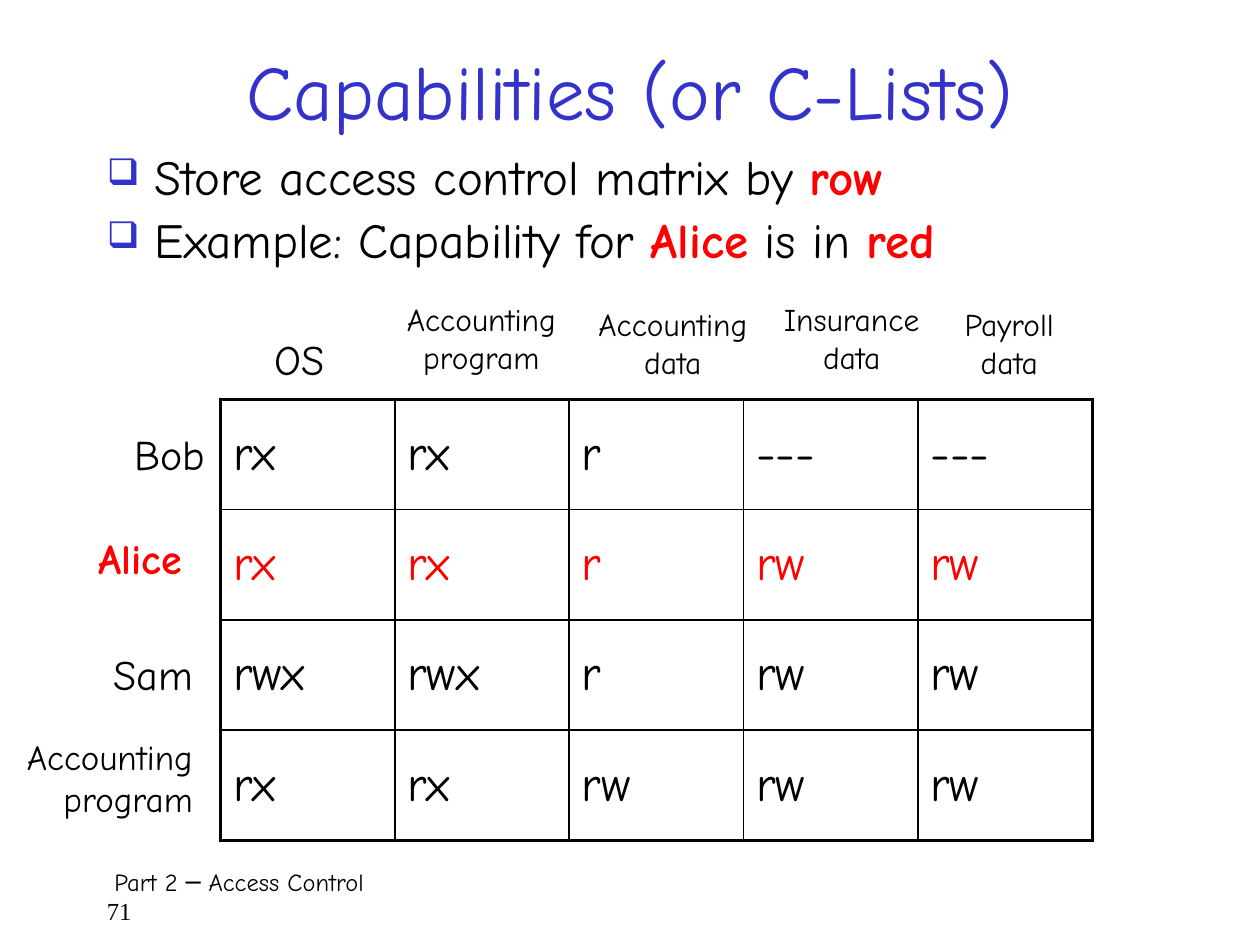
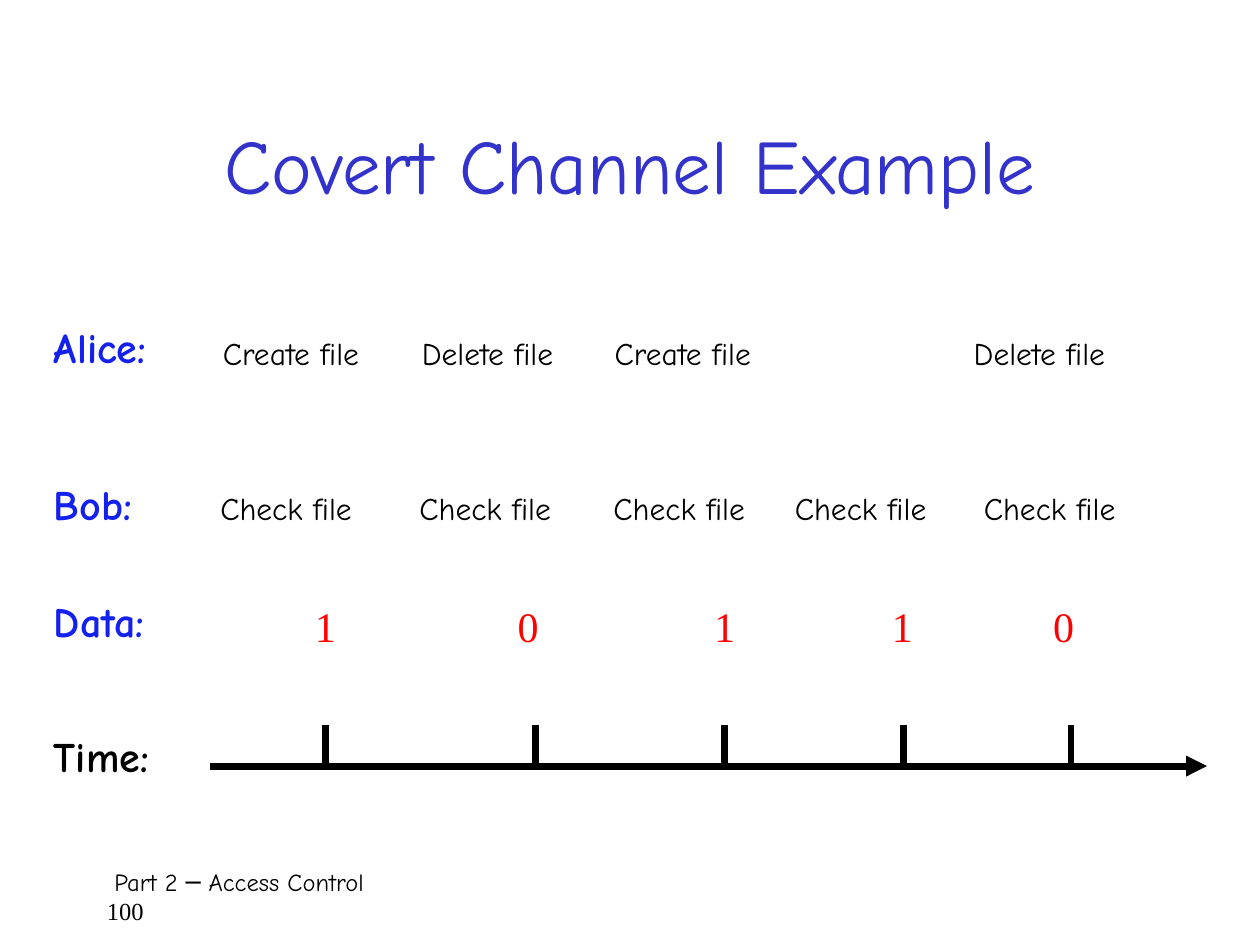
"""Build two access control slides: a capability table and a covert channel timeline."""
from dataclasses import dataclass

from lxml.etree import SubElement
from pptx import Presentation
from pptx.dml.color import RGBColor
from pptx.enum.shapes import MSO_CONNECTOR
from pptx.enum.text import MSO_ANCHOR, MSO_AUTO_SIZE as AUTO_SIZE, PP_ALIGN
from pptx.oxml.ns import qn
from pptx.util import Inches, Pt

COLORS = {"title": "3333CC", "text": "000000", "accent": "FF0000",
          "speaker": "1320EE", "paper": "FFFFFF"}
HAND, SERIF = "Comic Neue", "Times New Roman"
LINE_HEIGHT = {HAND: 1.4, SERIF: 1.2}
CENTER, RIGHT = PP_ALIGN.CENTER, PP_ALIGN.RIGHT


@dataclass
class Label:
    text: str
    left: float
    top: float
    width: float
    size: int = 24
    color: str = "text"
    bold: bool = False
    font: str = HAND
    align: PP_ALIGN = PP_ALIGN.LEFT

    @property
    def height(self) -> float:
        lines = len(self.text.split("\n"))
        return 0.1 + lines * self.size * LINE_HEIGHT[self.font] / 72


@dataclass
class Moment:
    tick: float
    check_left: float
    bit: str
    bit_left: float
    action: str = ""
    action_left: float = 0


HEADINGS = [
    Label("OS", 2.08, 2.6, 0.7),
    Label("Accounting\nprogram", 3.08, 2.33, 1.48, 18, align=CENTER),
    Label("Accounting\ndata", 4.6, 2.37, 1.48, 18, align=CENTER),
    Label("Insurance\ndata", 6.08, 2.33, 1.36, 18, align=CENTER),
    Label("Payroll\ndata", 7.52, 2.37, 0.98, 18, align=CENTER),
]
SUBJECTS = [
    Label("Bob", 0.97, 3.35, 0.78),
    Label("Alice", 0.68, 4.18, 0.99, color="accent", bold=True),
    Label("Sam", 0.8, 5.1, 0.86),
    Label("Accounting\nprogram", 0, 5.79, 1.63, 20, align=RIGHT),
]
RIGHTS = [
    ["rx", "rx", "r", "---", "---"],
    ["rx", "rx", "r", "rw", "rw"],
    ["rwx", "rwx", "r", "rw", "rw"],
    ["rx", "rx", "rw", "rw", "rw"],
]
ALICE_ROW = 1
BULLETS = [
    [("Store access control matrix by ", False), ("row", True)],
    [("Example: Capability for ", False), ("Alice", True),
     (" is in ", False), ("red", True)],
]
SPEAKERS = [
    Label("Alice:", 0.33, 2.5, 1.13, color="speaker", bold=True),
    Label("Bob:", 0.33, 3.75, 0.93, color="speaker", bold=True),
    Label("Data:", 0.33, 4.68, 1.11, color="speaker", bold=True),
    Label("Time:", 0.33, 5.75, 1.12, bold=True),
]
MOMENTS = [
    Moment(2.58, 1.65, "1", 2.4, "Create file", 1.67),
    Moment(4.25, 3.23, "0", 4.01, "Delete file", 3.25),
    Moment(5.75, 4.77, "1", 5.57, "Create file", 4.78),
    Moment(7.17, 6.21, "1", 6.98),
    Moment(8.5, 7.71, "0", 8.26, "Delete file", 7.63),
]
AXIS_Y = 6.08


def style_run(r, size: float, color: str = "text", bold: bool = False, font: str = HAND) -> None:
    r.font.name = font
    r.font.size = Pt(size)
    r.font.bold = bold
    r.font.color.rgb = RGBColor.from_string(COLORS[color])


def add_box(s, left: float, top: float, width: float, height: float, wrap: bool = True):
    sp = s.shapes.add_textbox(Inches(left), Inches(top), Inches(width), Inches(height))
    tf = sp.text_frame
    tf.word_wrap = wrap
    return tf


def add_label(s, label: Label) -> None:
    tf = add_box(s, label.left, label.top, label.width, label.height, wrap=False)
    tf.auto_size = AUTO_SIZE.SHAPE_TO_FIT_TEXT
    tf.text = label.text
    for p in tf.paragraphs:
        p.alignment = label.align
        for r in p.runs:
            style_run(r, label.size, label.color, label.bold, label.font)


def add_base_slide(prs, title: str, top: float, height: float, number: int):
    s = prs.slides.add_slide(prs.slide_layouts[6])
    s.background.fill.solid()
    s.background.fill.fore_color.rgb = RGBColor.from_string(COLORS["paper"])
    tf = add_box(s, 0.75, 6.83, 8.58, 0.5)
    tf.text = f"Part 2 ─ Access Control\n{number}"
    credit, page = tf.paragraphs
    credit._p.get_or_add_pPr().set("marL", str(Inches(0.06)))
    style_run(credit.runs[0], 14)
    style_run(page.runs[0], 14, font=SERIF)
    tf = add_box(s, 0.75, top, 8.5, height)
    tf.vertical_anchor = MSO_ANCHOR.MIDDLE
    tf.text = title
    p = tf.paragraphs[0]
    p.alignment = CENTER
    style_run(p.runs[0], 44, "title")
    return s


def add_bullet(p) -> None:
    pPr = p._p.get_or_add_pPr()
    pPr.set("marL", str(Inches(0.38)))
    pPr.set("indent", str(Inches(-0.38)))
    color = SubElement(pPr, qn("a:buClr"))
    SubElement(color, qn("a:srgbClr"), val=COLORS["title"])
    SubElement(pPr, qn("a:buSzPct"), val="75000")
    SubElement(pPr, qn("a:buChar"), char="❑")


def add_bullets(s) -> None:
    tf = add_box(s, 0.75, 1.17, 8.5, 1.25)
    for i, parts in enumerate(BULLETS):
        p = tf.add_paragraph() if i else tf.paragraphs[0]
        p.line_spacing = 0.9
        p.space_before = Pt(5.6)
        add_bullet(p)
        for text, marked in parts:
            r = p.add_run()
            r.text = text
            style_run(r, 28, "accent" if marked else "text", marked)


def set_borders(cell, outer: dict[str, bool]) -> None:
    tcPr = cell._tc.get_or_add_tcPr()
    for side, is_outer in outer.items():
        ln = SubElement(tcPr, qn(f"a:ln{side}"), w=str(Pt(2.25 if is_outer else 1)))
        fill = SubElement(ln, qn("a:solidFill"))
        SubElement(fill, qn("a:srgbClr"), val=COLORS["text"])


def add_rights_table(s) -> None:
    rows, cols = len(RIGHTS), len(RIGHTS[0])
    frame = s.shapes.add_table(rows, cols, Inches(1.75), Inches(3.17), Inches(6.92), Inches(3.5))
    table = frame.table
    table.first_row = table.horz_banding = False
    for i, rights in enumerate(RIGHTS):
        for j, right in enumerate(rights):
            cell = table.cell(i, j)
            cell.text = right
            cell.vertical_anchor = MSO_ANCHOR.MIDDLE
            set_borders(cell, {"L": j == 0, "R": j == cols - 1, "T": i == 0, "B": i == rows - 1})
            cell.fill.background()
            p = cell.text_frame.paragraphs[0]
            p.space_before = Pt(5.6)
            style_run(p.runs[0], 28, "accent" if i == ALICE_ROW else "text")


def add_line(s, x1: float, y1: float, x2: float, y2: float, arrow: bool = False) -> None:
    line = s.shapes.add_connector(MSO_CONNECTOR.STRAIGHT, Inches(x1), Inches(y1),
                                  Inches(x2), Inches(y2))
    line.line.width = Pt(4)
    line.line.color.rgb = RGBColor.from_string(COLORS["text"])
    if arrow:
        SubElement(line.line._get_or_add_ln(), qn("a:tailEnd"), type="triangle")
    SubElement(line._element.spPr, qn("a:effectLst"))


def build_capabilities(prs) -> None:
    s = add_base_slide(prs, "Capabilities (or C-Lists)", 0.17, 1.08, 71)
    add_bullets(s)
    add_rights_table(s)
    for label in HEADINGS + SUBJECTS:
        add_label(s, label)


def build_covert_channel(prs) -> None:
    s = add_base_slide(prs, "Covert Channel Example", 0.67, 1.25, 100)
    for label in SPEAKERS:
        add_label(s, label)
    add_line(s, 1.67, AXIS_Y, 9.58, AXIS_Y, arrow=True)
    for m in MOMENTS:
        add_line(s, m.tick, AXIS_Y, m.tick, 5.75)
        if m.action:
            add_label(s, Label(m.action, m.action_left, 2.6, 1.47, 18))
        add_label(s, Label("Check file", m.check_left, 3.83, 1.37, 18))
        add_label(s, Label(m.bit, m.bit_left, 4.72, 0.39, color="accent", font=SERIF))


def main() -> None:
    prs = Presentation()
    prs.slide_width, prs.slide_height = Inches(10), Inches(7.5)
    build_capabilities(prs)
    build_covert_channel(prs)
    prs.save("out.pptx")


if __name__ == "__main__":
    main()
